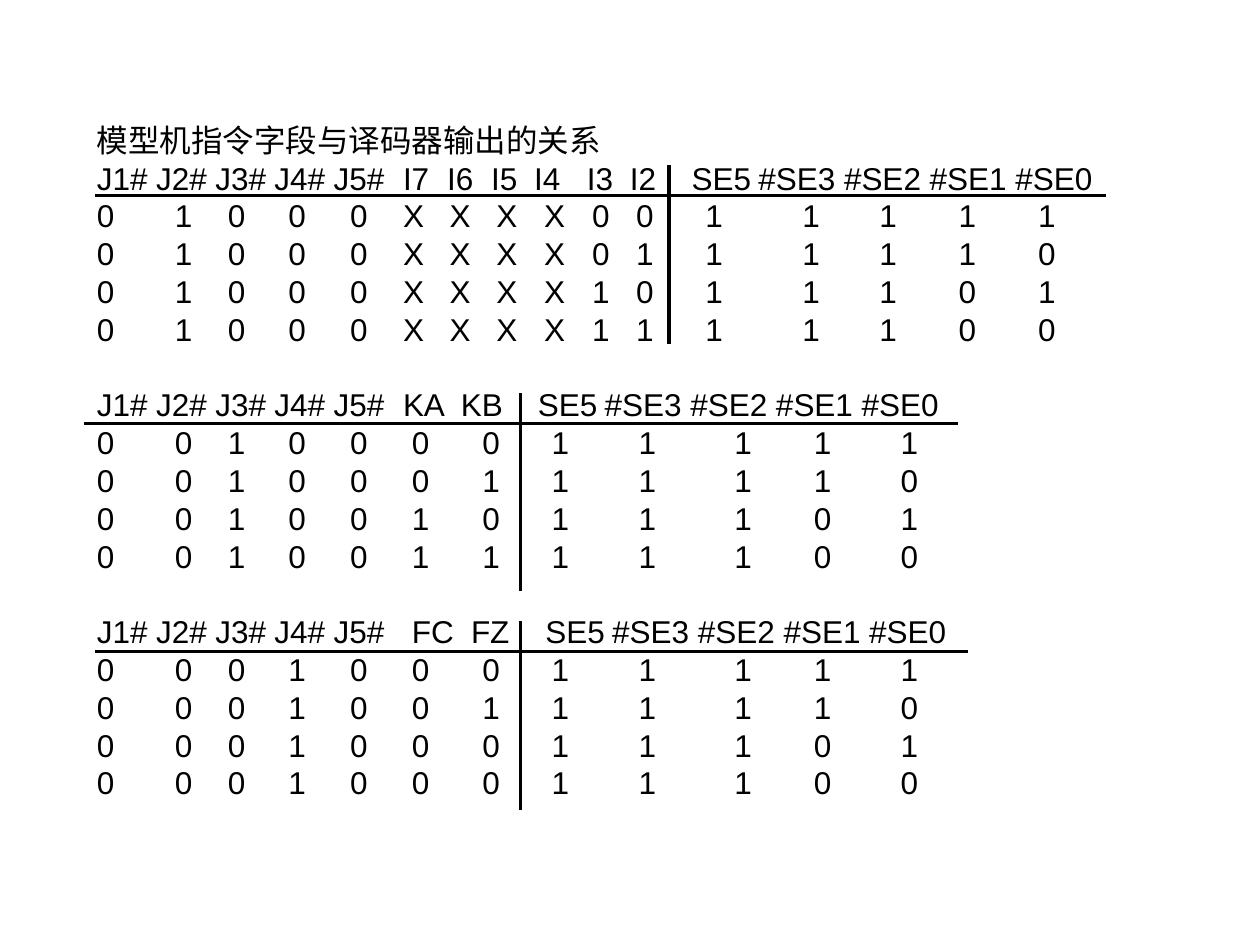
from lxml.etree import SubElement
from pptx import Presentation
from pptx.dml.color import RGBColor
from pptx.enum.shapes import MSO_CONNECTOR
from pptx.enum.text import MSO_AUTO_SIZE
from pptx.oxml.ns import qn
from pptx.util import Inches, Pt

TITLE = "模型机指令字段与译码器输出的关系"
JUMPS = "J1# J2# J3# J4# J5#"
OUTS = "SE5 #SE3 #SE2 #SE1 #SE0"

# Column positions are inches from the left edge of the text.
J_HEAD = [0.47, 0.94, 1.41, 1.88]
J_BITS = [0.62, 1.04, 1.52, 2.01]
SHORT = J_BITS + [2.5, 3.06, 3.61, 4.3, 5.06, 5.69, 6.38]

TABLES = [
    {"fields": "I7 I6 I5 I4 I3 I2",
     "heads": [2.43, 2.78, 3.13, 3.47, 3.89, 4.23], "outs": 4.72,
     "bits": J_BITS + [2.43, 2.8, 3.17, 3.55, 3.93, 4.28,
                       4.83, 5.6, 6.21, 6.84, 7.47],
     "rows": ["01000XXXX0011111", "01000XXXX0111110",
              "01000XXXX1011101", "01000XXXX1111100"]},
    {"fields": "KA KB", "heads": [2.43, 2.89], "outs": 3.5, "bits": SHORT,
     "rows": ["001000011111", "001000111110",
              "001001011101", "001001111100"]},
    {"fields": "FC FZ", "heads": [2.5, 2.97], "outs": 3.56, "bits": SHORT,
     "rows": ["000100011111", "000100111110",
              "000100011101", "000100011100"]},
]

# Each pair: rule under the header, then divider before the outputs.
LINES = [
    (0.75, 1.55, 8.78, 1.55), (5.31, 1.31, 5.31, 2.73),
    (0.67, 3.36, 7.6, 3.36), (4.13, 3.12, 4.13, 4.69),
    (0.75, 5.17, 7.68, 5.17), (4.13, 4.93, 4.13, 6.43),
]
BLACK = "000000"
PITCH = Pt(21.6)


def color(code):
    return RGBColor.from_string(code)


def write(para, cells, stops=(), gap=0):
    """Fill one line with cells, each after the first at its tab stop."""
    para.text = "\t".join(cells)
    para.line_spacing = PITCH
    para.space_before = gap
    if stops:
        tabs = SubElement(para._p.get_or_add_pPr(), qn("a:tabLst"))
        for stop in stops:
            SubElement(tabs, qn("a:tab"), pos=str(int(Inches(stop))), algn="l")
    for run in para.runs:
        run.font.name = "Arial"
        run.font.size = Pt(18)
        run.font.color.rgb = color(BLACK)


def rule(slide, x1, y1, x2, y2):
    line = slide.shapes.add_connector(
        MSO_CONNECTOR.STRAIGHT, *map(Inches, (x1, y1, x2, y2)))
    line.line.width = Pt(2)
    line.line.color.rgb = color(BLACK)
    SubElement(line._element.spPr, qn("a:effectLst"))


def main():
    deck = Presentation()
    deck.slide_width, deck.slide_height = Inches(10), Inches(7.5)
    slide = deck.slides.add_slide(deck.slide_layouts[6])

    box = slide.shapes.add_textbox(*map(Inches, (0.67, 0.91, 8.35, 5.8)))
    frame = box.text_frame
    frame.word_wrap = True
    frame.auto_size = MSO_AUTO_SIZE.NONE
    write(frame.paragraphs[0], [TITLE])
    for index, table in enumerate(TABLES):
        first = table["outs"]
        outs = [first] + [first + 0.53 + 0.68 * n for n in range(4)]
        heads = f"{JUMPS} {table['fields']} {OUTS}".split()
        write(frame.add_paragraph(), heads, J_HEAD + table["heads"] + outs,
              PITCH if index else 0)
        for row in table["rows"]:
            write(frame.add_paragraph(), row, table["bits"])

    for ends in LINES:
        rule(slide, *ends)
    deck.save("out.pptx")


if __name__ == "__main__":
    main()
